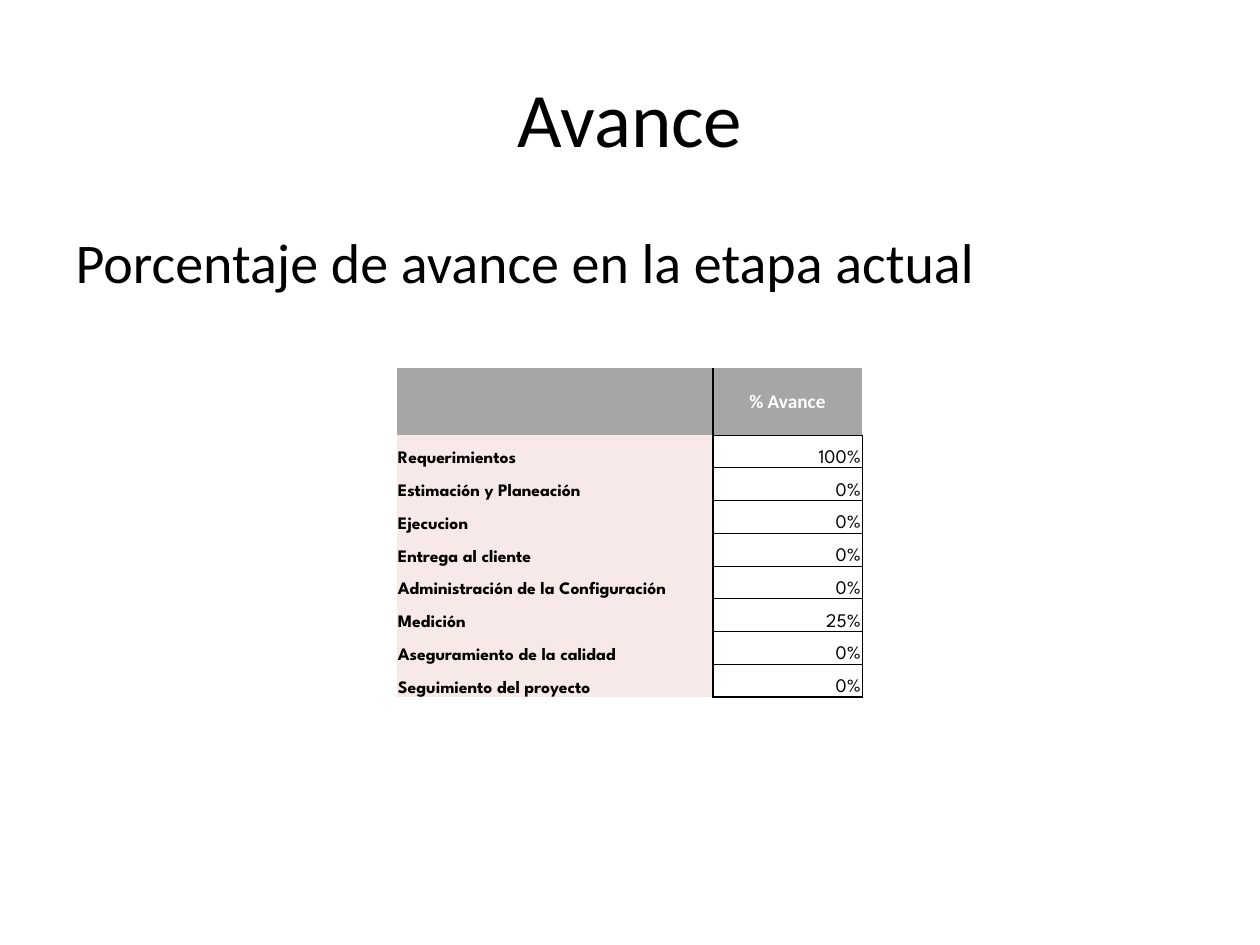
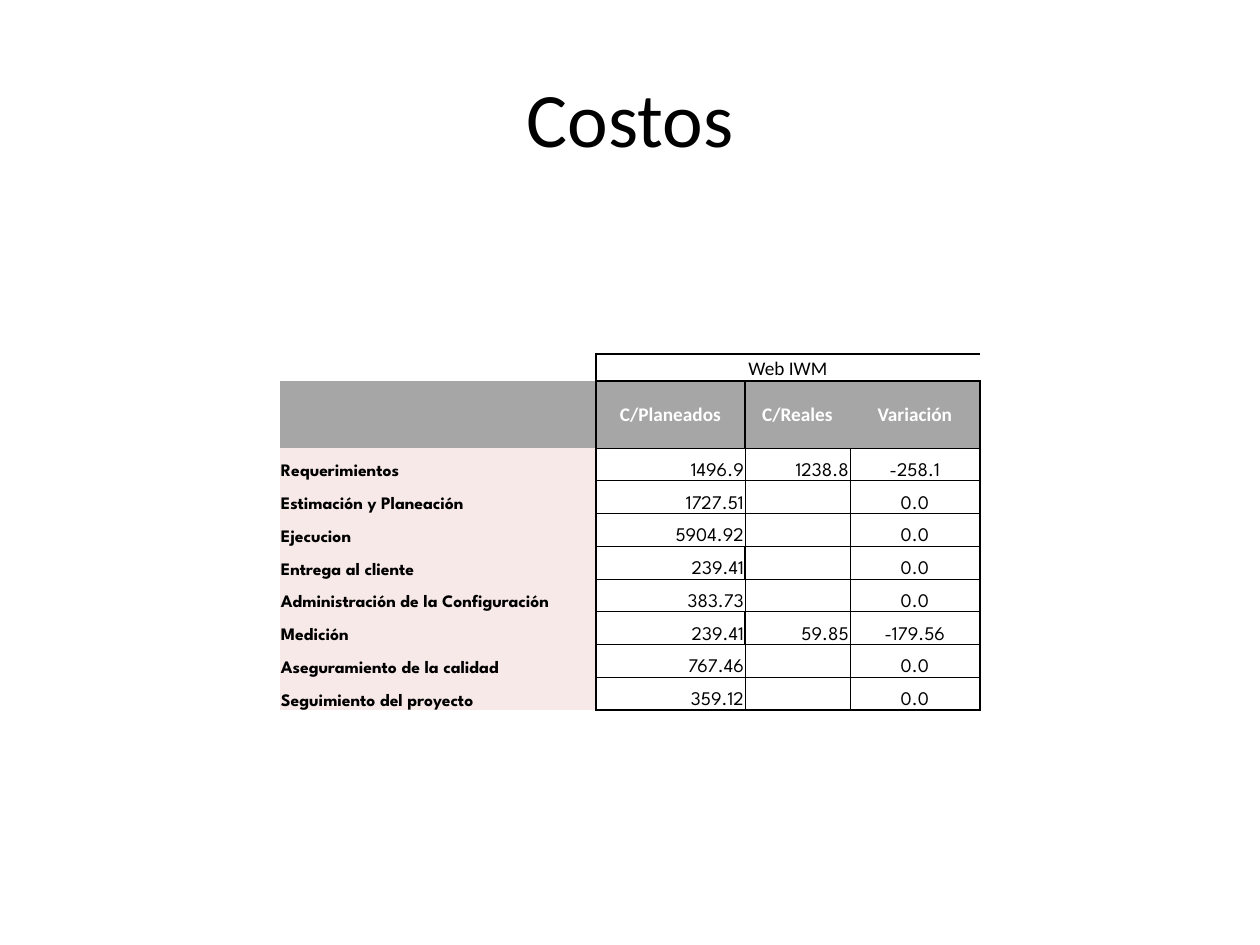
"""Builds two project status slides: progress and costs by work stage."""
from dataclasses import dataclass

from lxml.etree import SubElement
from pptx import Presentation
from pptx.dml.color import RGBColor
from pptx.enum.text import MSO_ANCHOR as ANCHOR, PP_ALIGN as ALIGN
from pptx.oxml.ns import qn
from pptx.util import Emu, Pt

BLACK, WHITE, GREY, PINK = "000000", "FFFFFF", "A6A6A6", "F7E9E7"
BASE_FONT, DATA_FONT = "Calibri", "League Spartan"
PLAIN_STYLE = "{2D5ABB26-0587-4C30-8999-92F81FD0307C}"
THIN, THICK = 0.5, 1
BANNER_H, HEADER_H, BODY_H = 27, 67, 262
STAGES = ["Requerimientos", "Estimación y Planeación", "Ejecucion", "Entrega al cliente",
          "Administración de la Configuración", "Medición", "Aseguramiento de la calidad",
          "Seguimiento del proyecto"]


@dataclass
class StageTable:
    left: int
    top: int
    widths: list[int]
    headers: list[str]
    columns: list[list[str]]
    aligns: list[ALIGN]
    right_edge: float
    banner: str = ""
    marked_stages: tuple[str, ...] = ()


def px(n: int) -> Emu:
    return Emu(round(n * 914400 / 126))


def rgb(value: str) -> RGBColor:
    return RGBColor.from_string(value)


def put_text(tf, text: str, *, size=11, font=BASE_FONT, color=BLACK, bold=False,
             align=ALIGN.LEFT):
    p = tf.paragraphs[0]
    p.alignment = align
    if not text:
        SubElement(p._p, qn("a:endParaRPr"), sz=str(size * 100))
        return p
    r = p.add_run()
    r.text = text
    r.font.size, r.font.name, r.font.bold = Pt(size), font, bold
    r.font.color.rgb = rgb(color)
    return p


def set_borders(cell, *, left=0, right=0, top=0, bottom=0) -> None:
    props = cell._tc.get_or_add_tcPr()
    for side, width in zip("LRTB", (left, right, top, bottom)):
        if width:
            ln = SubElement(props, qn(f"a:ln{side}"), w=str(Pt(width)))
            SubElement(SubElement(ln, qn("a:solidFill")), qn("a:srgbClr"), val=BLACK)


def format_cell(cell, text: str, *, fill="", anchor=ANCHOR.BOTTOM, borders=None, **style) -> None:
    set_borders(cell, **(borders or {}))
    cell.margin_left = cell.margin_right = cell.margin_top = px(1)
    cell.margin_bottom = 0
    cell.vertical_anchor = anchor
    if fill:
        cell.fill.solid()
        cell.fill.fore_color.rgb = rgb(fill)
    else:
        cell.fill.background()
    put_text(cell.text_frame, text, **style)


def add_titled_slide(prs, layout: int, title: str):
    s = prs.slides.add_slide(prs.slide_layouts[layout])
    sp = s.shapes.title
    sp.left, sp.top, sp.width, sp.height = px(63), px(38), px(1134), px(157)
    sp.text_frame.vertical_anchor = ANCHOR.MIDDLE
    put_text(sp.text_frame, title, size=44, align=ALIGN.CENTER)
    return s


def add_banner(table, text: str) -> None:
    last = len(table.columns) - 1
    format_cell(table.cell(0, 0), "", borders={"right": THICK})
    for col in range(1, last + 1):
        format_cell(table.cell(0, col), text if col == 1 else "", align=ALIGN.CENTER,
                    borders={"left": THICK if col == 1 else 0, "top": THICK,
                             "right": THICK if col == last else 0, "bottom": THICK})
    table.cell(0, 1).merge(table.cell(0, last))


def add_header(table, row: int, spec_table: StageTable) -> None:
    last = len(spec_table.headers)
    format_cell(table.cell(row, 0), "", fill=GREY, borders={"right": THICK})
    for col, text in enumerate(spec_table.headers, 1):
        borders = {"left": THICK if col == 1 else 0, "top": THICK if row else 0,
                   "right": THICK if row and col == last else 0, "bottom": THIN}
        format_cell(table.cell(row, col), text, fill=GREY, anchor=ANCHOR.MIDDLE, borders=borders,
                    color=WHITE, bold=True, align=ALIGN.CENTER)


def add_stage_row(table, row: int, index: int, data: StageTable) -> None:
    stage, last = STAGES[index], len(data.columns)
    format_cell(table.cell(row, 0), stage, fill=PINK, size=10, font=DATA_FONT, bold=True)
    divider = THICK if stage in data.marked_stages else THIN
    edges = [THICK, divider] + [THIN] * (last - 1)
    edges[last] = data.right_edge
    for col, (values, align) in enumerate(zip(data.columns, data.aligns), 1):
        borders = {"left": edges[col - 1], "right": edges[col], "top": THIN,
                   "bottom": THICK if index == len(STAGES) - 1 else THIN}
        format_cell(table.cell(row, col), values[index], borders=borders, font=DATA_FONT,
                    align=align)


def add_stage_table(s, data: StageTable) -> None:
    first = 1 if data.banner else 0
    heights = [px(BANNER_H)] * first + [px(HEADER_H)] + [px(BODY_H) // len(STAGES)] * len(STAGES)
    frame = s.shapes.add_table(len(heights), len(data.widths), px(data.left), px(data.top),
                               px(sum(data.widths)), sum(heights))
    table = frame.table
    table.first_row = table.horz_banding = False
    table._tbl.tblPr.find(qn("a:tableStyleId")).text = PLAIN_STYLE
    for column, width in zip(table.columns, data.widths):
        column.width = px(width)
    for row, height in zip(table.rows, heights):
        row.height = height
    if data.banner:
        add_banner(table, data.banner)
    add_header(table, first, data)
    for i in range(len(STAGES)):
        add_stage_row(table, first + 1 + i, i, data)


def add_progress_slide(prs) -> None:
    s = add_titled_slide(prs, 1, "Avance")
    body = s.placeholders[1]
    body.left, body.top, body.width, body.height = px(63), px(221), px(1134), px(624)
    p = put_text(body.text_frame, "Porcentaje de avance en la etapa actual", size=32)
    props = p._p.get_or_add_pPr()
    props.set("marL", "0")
    props.set("indent", "0")
    SubElement(props, qn("a:buNone"))
    add_stage_table(s, StageTable(
        left=397, top=368, widths=[316, 149], headers=["% Avance"],
        columns=[["100%", "0%", "0%", "0%", "0%", "25%", "0%", "0%"]],
        aligns=[ALIGN.RIGHT], right_edge=THIN))


def add_cost_slide(prs) -> None:
    s = add_titled_slide(prs, 5, "Costos")
    add_stage_table(s, StageTable(
        left=280, top=354, widths=[316, 149, 105, 130],
        headers=["C/Planeados", "C/Reales", "Variación"],
        columns=[["1496.9", "1727.51", "5904.92", "239.41", "383.73", "239.41", "767.46", "359.12"],
                 ["1238.8", "", "", "", "", "59.85", "", ""],
                 ["-258.1", "0.0", "0.0", "0.0", "0.0", "-179.56", "0.0", "0.0"]],
        aligns=[ALIGN.RIGHT, ALIGN.RIGHT, ALIGN.CENTER], right_edge=THICK,
        banner="Web IWM", marked_stages=("Entrega al cliente", "Medición")))


prs = Presentation()
prs.slide_width, prs.slide_height = px(1260), px(945)
add_progress_slide(prs)
add_cost_slide(prs)
prs.save("out.pptx")
